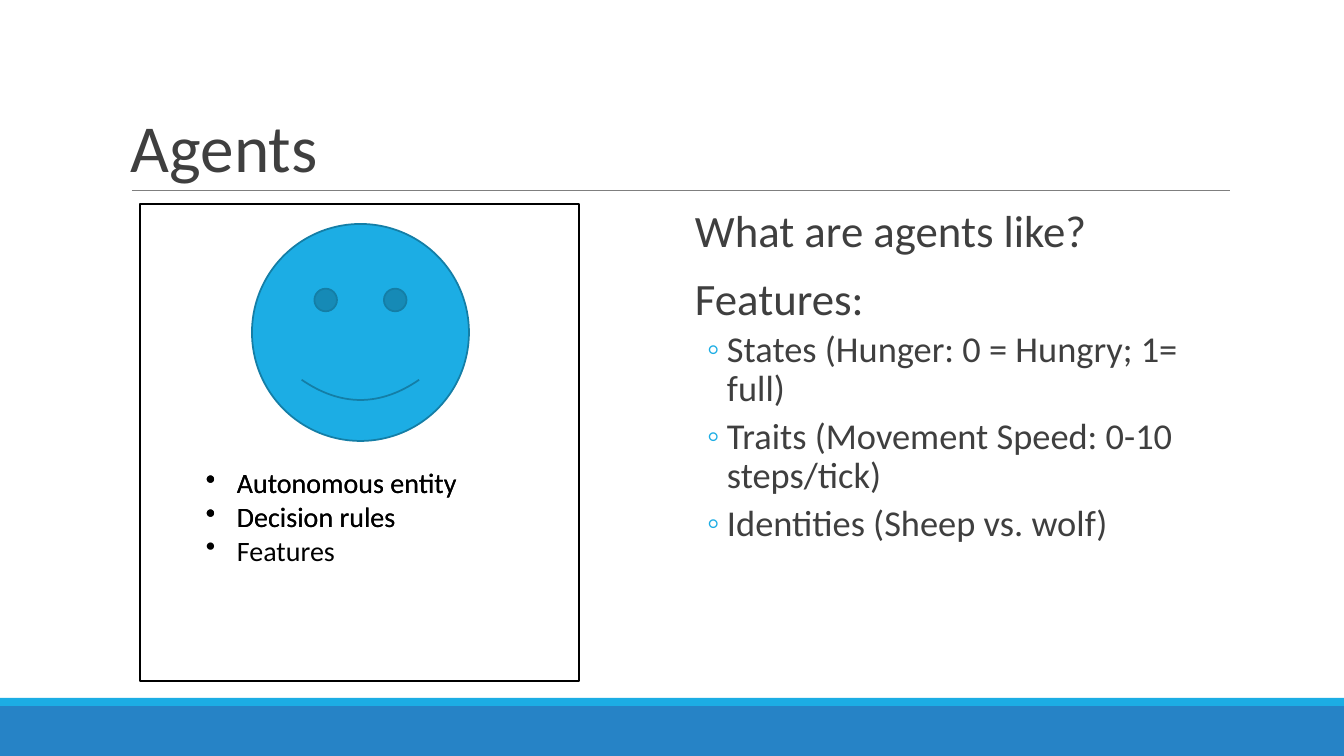
from lxml import etree
from pptx import Presentation
from pptx.dml.color import RGBColor
from pptx.enum.shapes import MSO_CONNECTOR, MSO_SHAPE
from pptx.enum.text import MSO_ANCHOR, MSO_AUTO_SIZE, PP_ALIGN
from pptx.oxml.ns import qn
from pptx.util import Emu, Pt

RECT, SMILEY = MSO_SHAPE.RECTANGLE, MSO_SHAPE.SMILEY_FACE
STRAIGHT = MSO_CONNECTOR.STRAIGHT
TOP, BOTTOM = MSO_ANCHOR.TOP, MSO_ANCHOR.BOTTOM
LEFT, NO_FIT = PP_ALIGN.LEFT, MSO_AUTO_SIZE.NONE
PX = 12192000 / 1344
SKY, BLUE, INK, BLACK = "1CADE4", "2683C6", "3F3F3F", "000000"


def color(value):
    return RGBColor.from_string(value)


def write(paragraph, text, size, ink, spacing=1.0, before=0,
          margin=0, indent=0, bullet=None, bullet_ink=SKY):
    props = paragraph._p.get_or_add_pPr()
    props.set("marL", str(round(margin * PX)))
    props.set("indent", str(round(indent * PX)))
    if bullet:
        tint = etree.SubElement(props, qn("a:buClr"))
        etree.SubElement(tint, qn("a:srgbClr"), val=bullet_ink)
        etree.SubElement(props, qn("a:buChar"), char=bullet)
    else:
        etree.SubElement(props, qn("a:buNone"))
    paragraph.alignment = LEFT
    paragraph.line_spacing = spacing
    paragraph.space_before = Pt(before)
    paragraph.space_after = Pt(0)
    run = paragraph.add_run()
    run.text = text
    run.font.size = Pt(size)
    run.font.name = "Calibri"
    run.font.color.rgb = color(ink)


prs = Presentation()
prs.slide_width, prs.slide_height = Emu(12192000), Emu(6858000)
slide = prs.slides.add_slide(prs.slide_layouts[1])
shapes = slide.shapes

for kind, box, fill, outline in [
    (RECT, (0, 706, 1344, 50), BLUE, None),
    (RECT, (0, 698, 1344, 8), SKY, None),
    (RECT, (140, 204, 439, 477), None, BLACK),
    (SMILEY, (252, 224, 217, 217), SKY, "147EA6"),
]:
    shape = shapes.add_shape(kind, *[Emu(round(v * PX)) for v in box])
    shape.shadow.inherit = False
    if fill:
        shape.fill.solid()
        shape.fill.fore_color.rgb = color(fill)
    else:
        shape.fill.background()
    if outline:
        shape.line.color.rgb = color(outline)
        shape.line.width = Pt(1.25)
    else:
        shape.line.fill.background()

title_rule = shapes.add_connector(
    STRAIGHT, *[Emu(round(v * PX)) for v in (132, 191, 1230, 191)])
title_rule.line.color.rgb = color("7F7F7F")
title_rule.line.width = Pt(0.75)
etree.SubElement(title_rule._element.spPr, qn("a:effectLst"))

title, features = shapes.title, slide.placeholders[1]
for holder, box, anchor, inset in [
    (title, (121, 31, 1109, 160), BOTTOM, 10),
    (features, (685, 204, 544, 444), TOP, 0),
]:
    holder.left, holder.top, holder.width, holder.height = [
        Emu(round(v * PX)) for v in box]
    frame = holder.text_frame
    frame.word_wrap = True
    frame.auto_size = NO_FIT
    frame.vertical_anchor = anchor
    frame.margin_left = frame.margin_right = Emu(round(inset * PX))
    frame.margin_top = frame.margin_bottom = Emu(round(5 * PX))

write(title.text_frame.paragraphs[0], "Agents", 48, INK, spacing=0.85)

for i, (text, level, before) in enumerate([
    ("What are agents like?", 0, 0),
    ("Features:", 0, 14),
    ("States (Hunger: 0 = Hungry; 1= full)", 1, 4),
    ("Traits (Movement Speed: 0-10 steps/tick)", 1, 6),
    ("Identities (Sheep vs. wolf)", 1, 6),
]):
    body = features.text_frame
    paragraph = body.add_paragraph() if i else body.paragraphs[0]
    paragraph.level = level
    if level:
        write(paragraph, text, 26, INK, 0.9, before, 42, -20, "◦")
    else:
        write(paragraph, text, 32, INK, 0.9, before, 10)

agent_facts = ["Autonomous entity", "Decision rules", "Features"]
for count, height in [(2, 78), (3, 112)]:
    facts = shapes.add_textbox(
        *[Emu(round(v * PX)) for v in (196, 461, 274, height)]).text_frame
    facts.word_wrap = True
    for i, text in enumerate(agent_facts[:count]):
        paragraph = facts.add_paragraph() if i else facts.paragraphs[0]
        write(paragraph, text, 20, BLACK, margin=31, indent=-31,
              bullet="•", bullet_ink=BLACK)

prs.save("out.pptx")
